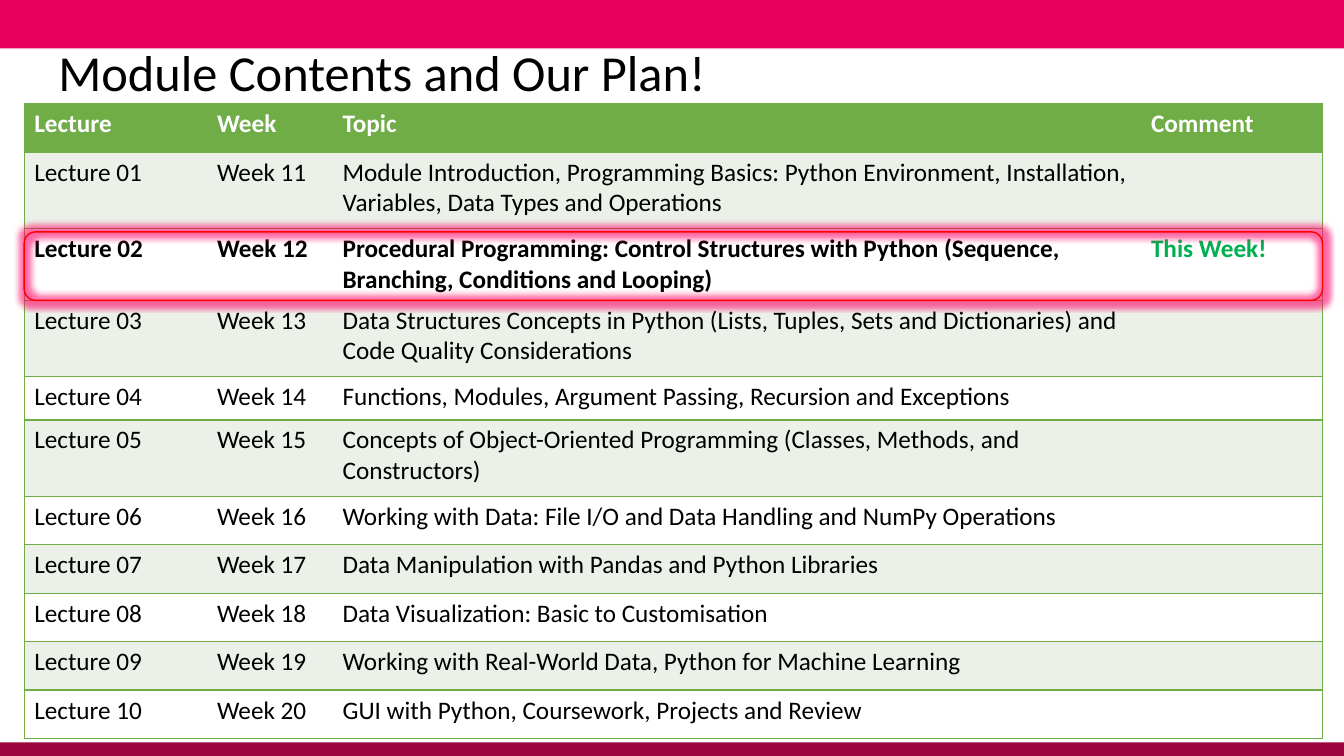
"""Build the module plan slide: title, lecture table and week marker."""
import dataclasses

import lxml.etree
import pptx
import pptx.dml.color
import pptx.enum.shapes
import pptx.enum.text
import pptx.oxml
import pptx.oxml.ns
import pptx.util


@dataclasses.dataclass(frozen=True)
class Theme:
    font: str = "Calibri"
    head: int = 36
    body: int = 18
    line: int = 1
    glow: int = 8
    pink: str = "E6005B"
    wine: str = "9E043D"
    green: str = "70AD47"
    band: str = "EBF1E9"
    note: str = "00B050"
    red: str = "FF0000"
    halo: str = "FF0066"
    black: str = "000000"
    white: str = "FFFFFF"


HEAD = ("Lecture", "Week", "Topic", "Comment")
TOPICS = (
    "Module Introduction, Programming Basics: Python Environment, Installation, "
    "Variables, Data Types and Operations",
    "Procedural Programming: Control Structures with Python (Sequence, "
    "Branching, Conditions and Looping)",
    "Data Structures Concepts in Python (Lists, Tuples, Sets and Dictionaries) "
    "and Code Quality Considerations",
    "Functions, Modules, Argument Passing, Recursion and Exceptions",
    "Concepts of Object-Oriented Programming (Classes, Methods, and Constructors)",
    "Working with Data: File I/O and Data Handling and NumPy Operations",
    "Data Manipulation with Pandas and Python Libraries",
    "Data Visualization: Basic to Customisation",
    "Working with Real-World Data, Python for Machine Learning",
    "GUI with Python, Coursework, Projects and Review",
)
NOW = 2
LEFT, TOP, WIDTH = 1.8, 13.7, 96.6
COLS = (13.6, 9.35, 60.15, 13.5)
ROWS = (6.4, 10.13, 9.47, 10.13, 5.73, 10.13) + (6.4,) * 5
SHAPES = pptx.enum.shapes.MSO_SHAPE


def tint(code):
    return pptx.dml.color.RGBColor.from_string(code)


def apply(item, form):
    for name, value in form.items():
        setattr(item, name, value)


class Deck:
    def __init__(self, theme):
        self.theme = theme
        self.show = pptx.Presentation()
        size = {"slide_width": pptx.util.Inches(13.33),
                "slide_height": pptx.util.Inches(7.5)}
        apply(self.show, size)
        self.slide = self.show.slides.add_slide(self.show.slide_layouts[6])

    def wide(self, share):
        return round(self.show.slide_width * share / 100)

    def tall(self, share):
        return round(self.show.slide_height * share / 100)

    def place(self, x, y, w, h):
        return self.wide(x), self.tall(y), self.wide(w), self.tall(h)

    def label(self, frame, text, size, color, bold=False):
        part = frame.paragraphs[0]
        run = part.add_run()
        run.text = text
        apply(run.font, {"name": self.theme.font, "size": pptx.util.Pt(size),
                         "bold": bold})
        run.font.color.rgb = tint(color)
        return part

    def title(self, text, *box):
        frame = self.slide.shapes.add_textbox(*self.place(*box)).text_frame
        apply(frame, {"word_wrap": True,
                      "vertical_anchor": pptx.enum.text.MSO_ANCHOR.TOP})
        part = self.label(frame, text, self.theme.head, self.theme.black)
        part.line_spacing = 0.9

    def bar(self, color, *box):
        shape = self.slide.shapes.add_shape(SHAPES.RECTANGLE, *self.place(*box))
        shape.shadow.inherit = False
        shape.fill.solid()
        shape.fill.fore_color.rgb = tint(color)
        shape.line.fill.background()

    def marker(self, *box):
        shape = self.slide.shapes.add_shape(SHAPES.ROUNDED_RECTANGLE,
                                            *self.place(*box))
        shape.shadow.inherit = False
        shape.fill.background()
        shape.line.color.rgb = tint(self.theme.red)
        shape.line.width = pptx.util.Pt(self.theme.line)
        tag = pptx.oxml.ns.qn
        effect = shape.element.spPr.find(tag("a:effectLst"))
        glow = lxml.etree.SubElement(effect, tag("a:glow"),
                                     rad=str(pptx.util.Pt(self.theme.glow)))
        color = lxml.etree.SubElement(glow, tag("a:srgbClr"), val=self.theme.halo)
        lxml.etree.SubElement(color, tag("a:alpha"), val="60000")

    def edge(self, cell, sides):
        tag = pptx.oxml.ns.qn
        props = cell._tc.get_or_add_tcPr()
        for spot, side in enumerate("LRTB"):
            line = pptx.oxml.parse_xml(
                f'<a:ln{side} {pptx.oxml.ns.nsdecls("a")} '
                f'w="{pptx.util.Pt(self.theme.line)}"/>')
            if side in sides:
                fill = lxml.etree.SubElement(line, tag("a:solidFill"))
                lxml.etree.SubElement(fill, tag("a:srgbClr"), val=self.theme.green)
            else:
                lxml.etree.SubElement(line, tag("a:noFill"))
            props.insert(spot, line)

    def cell(self, cell, text, fill, color, bold, sides):
        cell.fill.solid()
        cell.fill.fore_color.rgb = tint(fill)
        self.label(cell.text_frame, text, self.theme.body, color, bold)
        self.edge(cell, sides)

    def table(self, data, x, y, cols, rows):
        theme = self.theme
        box = self.place(x, y, sum(cols), sum(rows))
        table = self.slide.shapes.add_table(len(rows), len(cols), *box).table
        apply(table, {"first_row": False, "horz_banding": False})
        for col, share in zip(table.columns, cols):
            col.width = self.wide(share)
        for row, share in zip(table.rows, rows):
            row.height = self.tall(share)
        for r, texts in enumerate(data):
            fill = theme.band if r % 2 else theme.white
            color = theme.black
            if r == 0:
                fill, color = theme.green, theme.white
            for c, text in enumerate(texts):
                sides = "TB" + "L" * (c == 0) + "R" * (c == len(cols) - 1)
                ink = theme.note if r and c == 3 else color
                self.cell(table.cell(r, c), text, fill, ink, r in (0, NOW), sides)


def main():
    theme = Theme()
    deck = Deck(theme)
    deck.bar(theme.pink, 0, 0, 100, 6.4)
    deck.bar(theme.wine, 0, 98.2, 100, 1.8)
    deck.title("Module Contents and Our Plan!", 3.6, 5.73, 92.7, 14.67)
    plan = [(f"Lecture {n:02}", f"Week {n + 10}", topic,
             "This Week!" if n == NOW else "")
            for n, topic in enumerate(TOPICS, 1)]
    deck.table([HEAD] + plan, LEFT, TOP, COLS, ROWS)
    deck.marker(LEFT, 30.67, WIDTH, 9.07)
    deck.show.save("out.pptx")


if __name__ == "__main__":
    main()
